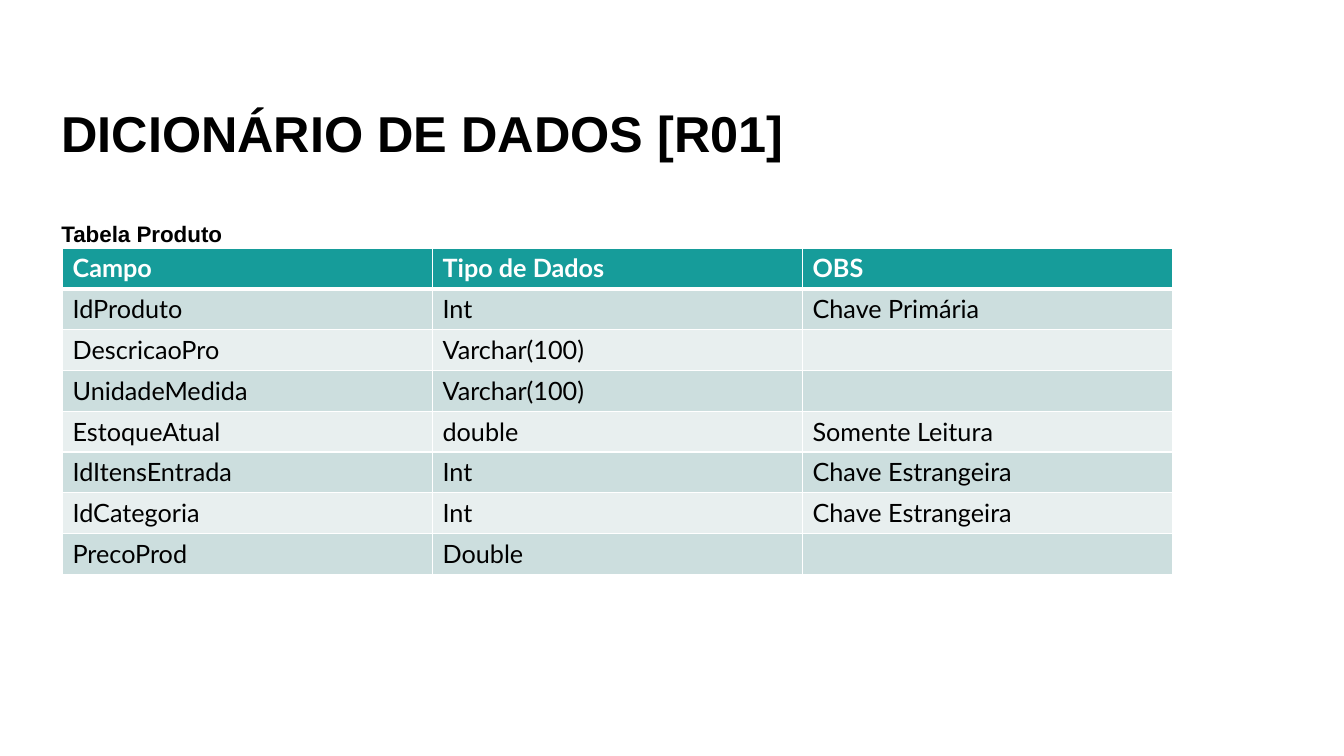
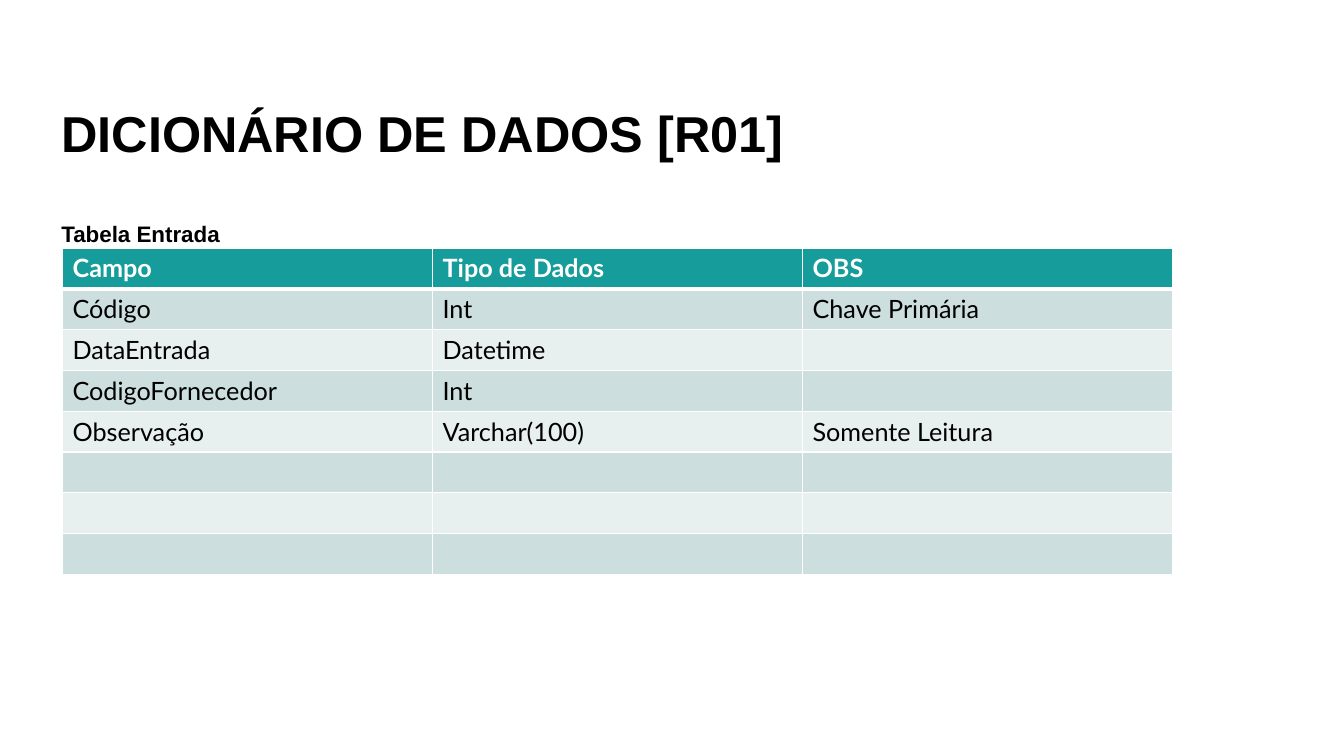
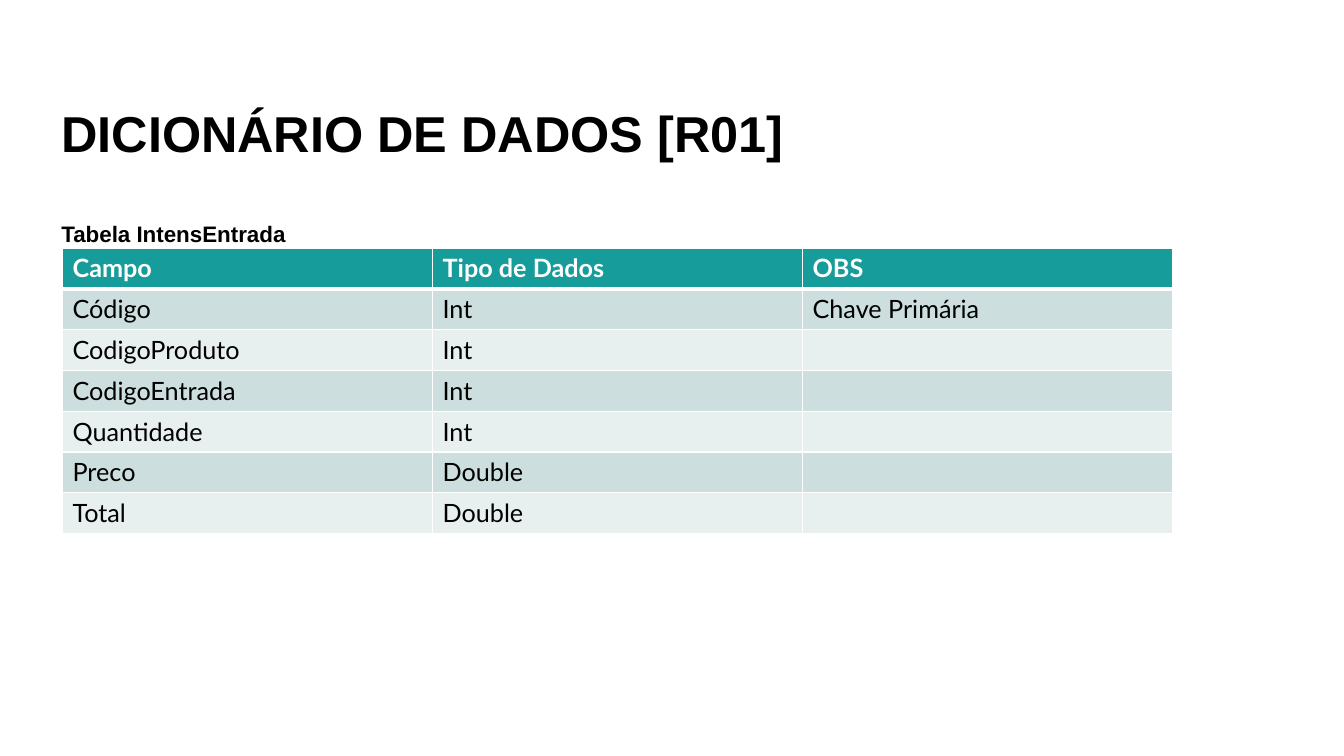
from dataclasses import dataclass

from lxml import etree
from pptx import Presentation
from pptx import util as u
from pptx.dml import color
from pptx.enum import text
from pptx.oxml import ns


@dataclass(frozen=True)
class Theme:
    ink: str = "000000"
    white: str = "FFFFFF"
    header: str = "169C9A"
    bands: tuple = ("CCDEDE", "E8EFEF")
    heading_font: str = "Arial"
    table_font: str = "Lato"
    title_size: int = 36
    caption_size: int = 16
    table_size: int = 18
    border: int = 1
    header_rule: int = 3


TITLE = "DICIONÁRIO DE DADOS [R01]"
HEADINGS = ("Campo", "Tipo de Dados", "OBS")
COLUMN_WIDTH = u.Inches(3.67)
ROW_HEIGHT = u.Inches(3.24 / 8)

# Each caption with its rows; a short row leaves its last cells empty
TABLES = {
    "Tabela Produto": [
        ("IdProduto", "Int", "Chave Primária"),
        ("DescricaoPro", "Varchar(100)"),
        ("UnidadeMedida", "Varchar(100)"),
        ("EstoqueAtual", "double", "Somente Leitura"),
        ("IdItensEntrada", "Int", "Chave Estrangeira"),
        ("IdCategoria", "Int", "Chave Estrangeira"),
        ("PrecoProd", "Double"),
    ],
    "Tabela Entrada": [
        ("Código", "Int", "Chave Primária"),
        ("DataEntrada", "Datetime"),
        ("CodigoFornecedor", "Int"),
        ("Observação", "Varchar(100)", "Somente Leitura"),
        (), (), (),
    ],
    "Tabela IntensEntrada": [
        ("Código", "Int", "Chave Primária"),
        ("CodigoProduto", "Int"),
        ("CodigoEntrada", "Int"),
        ("Quantidade", "Int"),
        ("Preco", "Double"),
        ("Total", "Double"),
    ],
}


def write(frame, words, *, font, size, ink, bold=False, spacing=None):
    """Put one formatted line of text in a frame."""
    para = frame.paragraphs[0]
    para.line_spacing = spacing
    span = para.add_run()
    span.text = words
    span.font.name = font
    span.font.size = u.Pt(size)
    span.font.bold = bold
    span.font.color.rgb = color.RGBColor.from_string(ink)


def draw_borders(cell, ink, **widths):
    """Draw cell borders; widths in points by side: L, R, T, B."""
    properties = cell._tc.get_or_add_tcPr()
    for side, width in widths.items():
        line = etree.SubElement(properties, ns.qn(f"a:ln{side}"), w=str(u.Pt(width)))
        fill = etree.SubElement(line, ns.qn("a:solidFill"))
        etree.SubElement(fill, ns.qn("a:srgbClr"), val=ink)


class DictionaryDeck:
    def __init__(self, theme):
        self.theme = theme
        self.deck = Presentation()
        self.deck.slide_width = u.Inches(13.33)
        self.deck.slide_height = u.Inches(7.5)
        self.page = None

    def new_page(self):
        self.page = self.deck.slides.add_slide(self.deck.slide_layouts[6])

    def heading(self, words, top, size):
        box = self.page.shapes.add_textbox(
            u.Inches(0.51), u.Inches(top), u.Inches(11.5), u.Inches(1.67))
        frame = box.text_frame
        frame.word_wrap = True
        frame.vertical_anchor = text.MSO_ANCHOR.BOTTOM
        write(frame, words, font=self.theme.heading_font, size=size,
              ink=self.theme.ink, bold=True, spacing=0.9)

    def table(self, rows):
        lines = [HEADINGS, *rows]
        table = self.page.shapes.add_table(
            len(lines), len(HEADINGS), u.Inches(0.62), u.Inches(2.46),
            COLUMN_WIDTH * len(HEADINGS), ROW_HEIGHT * len(lines)).table
        for column in table.columns:
            column.width = COLUMN_WIDTH
        for number, values in enumerate(lines):
            table.rows[number].height = ROW_HEIGHT
            for position in range(len(HEADINGS)):
                words = values[position] if position < len(values) else ""
                self.cell(table.cell(number, position), words, number)

    def cell(self, cell, words, number):
        theme = self.theme
        is_header = number == 0
        # Heavy rule between the header and the first row
        draw_borders(cell, theme.white, L=theme.border, R=theme.border,
                     T=theme.header_rule if number == 1 else theme.border,
                     B=theme.header_rule if is_header else theme.border)
        cell.fill.solid()
        cell.fill.fore_color.rgb = color.RGBColor.from_string(
            theme.header if is_header else theme.bands[(number - 1) % 2])
        if words:
            write(cell.text_frame, words, font=theme.table_font,
                  size=theme.table_size, bold=is_header,
                  ink=theme.white if is_header else theme.ink)


def main():
    theme = Theme()
    builder = DictionaryDeck(theme)
    for caption, rows in TABLES.items():
        builder.new_page()
        builder.heading(TITLE, 0, theme.title_size)
        builder.table(rows)
        builder.heading(caption, 0.83, theme.caption_size)
    builder.deck.save("out.pptx")


if __name__ == "__main__":
    main()
